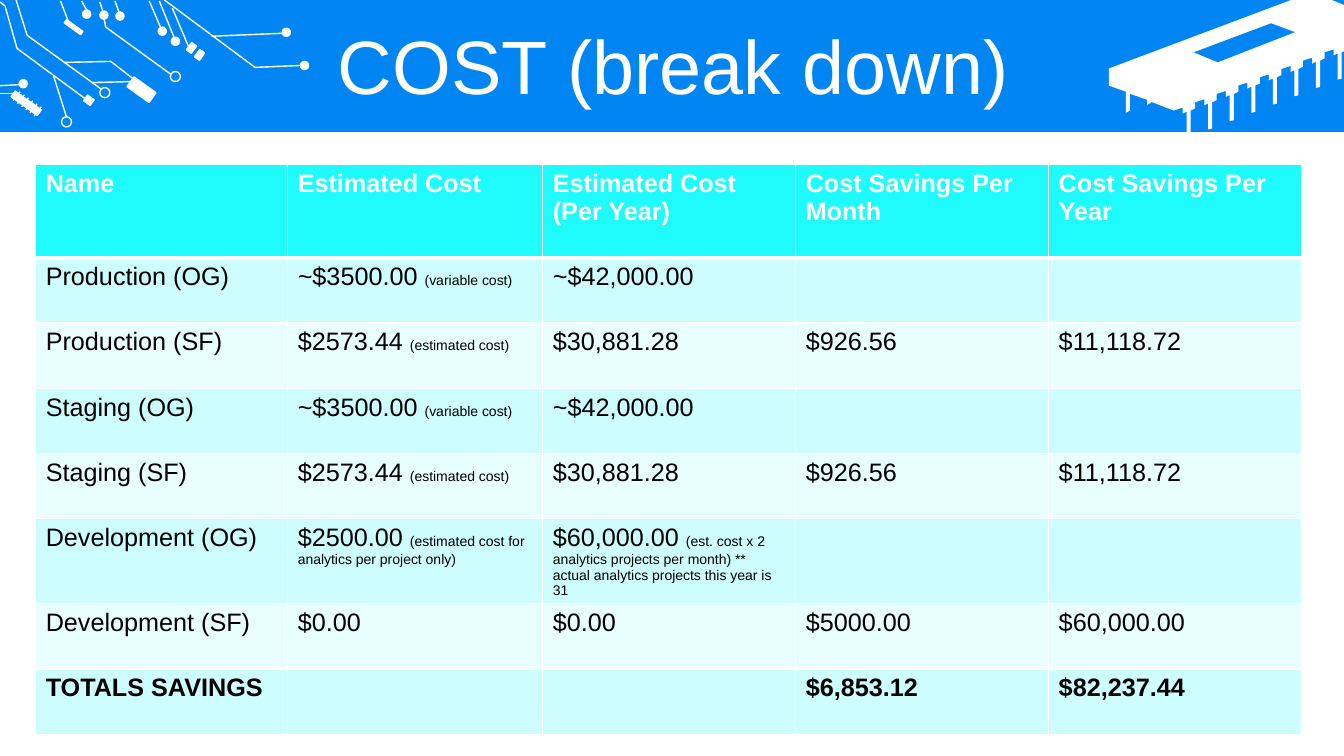
import pptx
import pptx.dml.color
import pptx.enum.shapes
import pptx.enum.text
import pptx.oxml
import pptx.oxml.ns
import pptx.util
from dataclasses import dataclass

Pt = pptx.util.Pt
SHAPES = pptx.enum.shapes.MSO_SHAPE


@dataclass(frozen=True)
class Theme:
    font: str = "Arial"
    banner: str = "0085F2"
    white: str = "FFFFFF"
    black: str = "000000"
    header: str = "1FFBFD"
    bands: tuple = ("CDFDFE", "E8FEFF")
    title_size: float = 54
    body_size: float = 18
    note_size: float = 10
    line_width: float = 1
    header_rule: float = 3


THEME = Theme()
BOARD_ANGLE = 35.7

COLUMN_WIDTHS = (180, 182.2, 180.7, 180.7, 180.7)
ROW_HEIGHTS = (66.5, 46.6, 46.6, 46.6, 46.6, 60.7, 46.6, 46.6)
# A cell is its text, or a pair of an amount and a small note.
VARIABLE = ("~$3500.00 ", "(variable cost)")
ESTIMATED = ("$2573.44 ", "(estimated cost)")
OG_COSTS = (VARIABLE, "~$42,000.00", "", "")
SF_COSTS = (ESTIMATED, "$30,881.28", "$926.56", "$11,118.72")
COST_ROWS = (
    ("Name", "Estimated Cost", "Estimated Cost (Per Year)", "Cost Savings Per Month", "Cost Savings Per Year"),
    ("Production (OG)", *OG_COSTS),
    ("Production (SF)", *SF_COSTS),
    ("Staging (OG)", *OG_COSTS),
    ("Staging (SF)", *SF_COSTS),
    ("Development (OG)", ("$2500.00 ", "(estimated cost for analytics per project only)"),
     ("$60,000.00 ", "(est. cost x 2 analytics projects per month) ** actual analytics projects this year is 31"),
     "", ""),
    ("Development (SF)", "$0.00", "$0.00", "$5000.00", "$60,000.00"),
    ("TOTALS SAVINGS", "", "", "$6,853.12", "$82,237.44"),
)

PADS = ((214.6, 43.9), (201.6, 20.2), (59, 7.2), (71.3, 7.9), (82.8, 8.6),
        (13.7, 56.9), (122.4, 26.6), (113, 19.4))
RINGS = ((121.7, 51.1), (71.3, 62.6), (43.9, 83.5))
COMPONENTS = ((91.4, 59.8, 19.4, 8.6), (45.4, 18, 14.4, 2.9), (60.5, 69.1, 5.8, 5),
              (134.6, 31, 4.3, 6.5), (140.4, 36, 4.3, 6.5), (7.2, 71.3, 23, 5))
STRAIGHT_TRACES = (
    (43.2, 0.7, 49, 15.8), (58.3, 0.7, 61.9, 7.2), (71.3, 1.4, 73.4, 7.9),
    (82.1, 0.7, 85, 8.6), (106.6, 0.7, 115.9, 22.3), (113.8, 0.7, 124.6, 27.4),
    (151.2, 25.9, 201.6, 23.8), (123.1, 5.8, 134.6, 33.1), (0, 61.2, 13.7, 60.5),
    (0, 67, 10.1, 67), (38.2, 54, 47.5, 83.5), (66.2, 59, 93.6, 58.3))
CHIP_LEGS = tuple((9.4 + 3.02 * leg, 72 + 2.16 * leg, 14.4 + 3.02 * leg, 65.5 + 2.16 * leg)
                  for leg in range(6))
BENT_TRACES = (
    ((117.4, 0), (182.2, 48.2), (215.3, 46.8)),
    ((11.5, 0), (19.4, 25.2), (72, 63.4)),
    ((0, 1.4), (3.6, 4.3), (12.2, 34.6), (61.9, 71.3)),
    ((46.1, 44.6), (79.2, 43.9), (95, 56.2)),
    ((74.2, 13), (75.6, 19.4), (122.4, 53.3)))

PIN = ((166.3, 37.4), (166.3, 56.2), (163.4, 56.9), (163.4, 38.2),
       (160.6, 39.6), (160.6, 35.3), (154.1, 37.4), (154.1, 41.8))
PIN_COUNT, PIN_STEP = 8, (-15.4, 5.94)
CHIP_TOP = ((130.3, 0), (159.1, 0), (168, 3.6), (168, 36.7))
CHIP_END = ((30.2, 72.7), (30.2, 73.4), (27.4, 74.9), (27.4, 71.3), (15.1, 67),
            (15.1, 79.2), (12.2, 80.6), (12.2, 65.5), (0, 61.2), (0, 49))
CHIP_WINDOW = ((115.9, 16.6), (60.5, 37.4), (77.8, 44.6), (133.2, 23))


def color(value):
    return pptx.dml.color.RGBColor.from_string(value)


def paint(shape, fill=None, line=None):
    shape.shadow.inherit = False
    if fill:
        shape.fill.solid()
        shape.fill.fore_color.rgb = color(fill)
    else:
        shape.fill.background()
    if line:
        shape.line.color.rgb = color(line)
        shape.line.width = Pt(THEME.line_width)
    else:
        shape.line.fill.background()


def style_run(run, size, text_color, bold=False):
    run.font.name = THEME.font
    run.font.size = Pt(size)
    run.font.bold = bold
    run.font.color.rgb = color(text_color)


def add_outline(slide, left, top, contours, close):
    """Draw contours, given relative to left and top, as one freeform."""
    placed = [[(Pt(left + x), Pt(top + y)) for x, y in contour] for contour in contours]
    builder = slide.shapes.build_freeform(*placed[0][0], scale=1.0)
    for index, points in enumerate(placed):
        if index:
            builder.move_to(*points[0])
        builder.add_line_segments(points[1:], close=close)
    return builder.convert_to_shape()


def add_banner(slide, left, top, width, height):
    banner = slide.shapes.add_shape(SHAPES.RECTANGLE, Pt(left), Pt(top), Pt(width), Pt(height))
    paint(banner, fill=THEME.banner)


def add_chip(slide, left, top):
    pins = [(x + pin * PIN_STEP[0], y + pin * PIN_STEP[1])
            for pin in range(PIN_COUNT) for x, y in PIN]
    body = [*CHIP_TOP, *pins[:-1], *CHIP_END]
    paint(add_outline(slide, left, top, [body, CHIP_WINDOW], True), fill=THEME.white)


def add_circuit(slide, left, top):
    parts = [(SHAPES.OVAL, (*pad, 5.8, 5.8), THEME.white) for pad in PADS]
    parts += [(SHAPES.OVAL, (*ring, 7.2, 7.2), None) for ring in RINGS]
    parts += [(SHAPES.RECTANGLE, component, THEME.white) for component in COMPONENTS]
    for kind, (x, y, width, height), fill in parts:
        shape = slide.shapes.add_shape(kind, Pt(left + x), Pt(top + y), Pt(width), Pt(height))
        shape.rotation = BOARD_ANGLE
        paint(shape, fill=fill, line=THEME.white)
    for x1, y1, x2, y2 in STRAIGHT_TRACES + CHIP_LEGS:
        trace = slide.shapes.add_connector(
            pptx.enum.shapes.MSO_CONNECTOR.STRAIGHT,
            Pt(left + x1), Pt(top + y1), Pt(left + x2), Pt(top + y2))
        trace.line.color.rgb = color(THEME.white)
        trace.line.width = Pt(THEME.line_width)
        trace.element.spPr.append(pptx.oxml.parse_xml(
            f"<a:effectLst {pptx.oxml.ns.nsdecls('a')}/>"))
    for points in BENT_TRACES:
        paint(add_outline(slide, left, top, [points], False), line=THEME.white)


def place_title(slide, left, top, width, height):
    title = slide.shapes.title
    title.element.getparent().append(title.element)  # in front of the banner
    title.left, title.top, title.width, title.height = Pt(left), Pt(top), Pt(width), Pt(height)
    title.text_frame.text = "COST (break down)"
    title.text_frame.vertical_anchor = pptx.enum.text.MSO_ANCHOR.MIDDLE
    title.text_frame.auto_size = pptx.enum.text.MSO_AUTO_SIZE.NONE
    paragraph = title.text_frame.paragraphs[0]
    paragraph.alignment = pptx.enum.text.PP_ALIGN.CENTER
    paragraph.line_spacing = 0.9
    paragraph.space_before = Pt(10)
    style_run(paragraph.runs[0], THEME.title_size, THEME.white)


def set_borders(cell, top, bottom):
    properties = cell._tc.get_or_add_tcPr()
    widths = {"lnL": THEME.line_width, "lnR": THEME.line_width, "lnT": top, "lnB": bottom}
    for tag, width in widths.items():
        properties.append(pptx.oxml.parse_xml(
            f'<a:{tag} {pptx.oxml.ns.nsdecls("a")} w="{Pt(width)}"><a:solidFill>'
            f'<a:srgbClr val="{THEME.white}"/></a:solidFill></a:{tag}>'))


def fill_cell(cell, content, row):
    is_header = row == 0
    set_borders(cell, THEME.header_rule if row == 1 else THEME.line_width,
                THEME.header_rule if is_header else THEME.line_width)
    cell.fill.solid()
    cell.fill.fore_color.rgb = color(THEME.header if is_header else THEME.bands[(row - 1) % 2])
    parts = (content,) if isinstance(content, str) else content
    paragraph = cell.text_frame.paragraphs[0]
    paragraph.font.size = Pt(THEME.body_size)
    for text, size in zip(parts, (THEME.body_size, THEME.note_size)):
        if text:
            run = paragraph.add_run()
            run.text = text
            style_run(run, size, THEME.white if is_header else THEME.black,
                      row in (0, len(COST_ROWS) - 1))


def add_cost_table(slide, left, top):
    table = slide.shapes.add_table(
        len(COST_ROWS), len(COLUMN_WIDTHS), Pt(left), Pt(top),
        Pt(sum(COLUMN_WIDTHS)), Pt(sum(ROW_HEIGHTS))).table
    for column, width in zip(table.columns, COLUMN_WIDTHS):
        column.width = Pt(width)
    for row, (contents, height) in enumerate(zip(COST_ROWS, ROW_HEIGHTS)):
        table.rows[row].height = Pt(height)
        for column, content in enumerate(contents):
            fill_cell(table.cell(row, column), content, row)


def main():
    presentation = pptx.Presentation()
    presentation.slide_width, presentation.slide_height = Pt(960), Pt(540)
    slide = presentation.slides.add_slide(presentation.slide_layouts[5])
    add_banner(slide, 0, 0, 960, 94.3)
    add_chip(slide, 792, 0)
    add_circuit(slide, 0, 0)
    place_title(slide, 25.2, 21.6, 911.5, 56.9)
    add_cost_table(slide, 25.5, 117.6)
    presentation.save("out.pptx")


if __name__ == "__main__":
    main()
